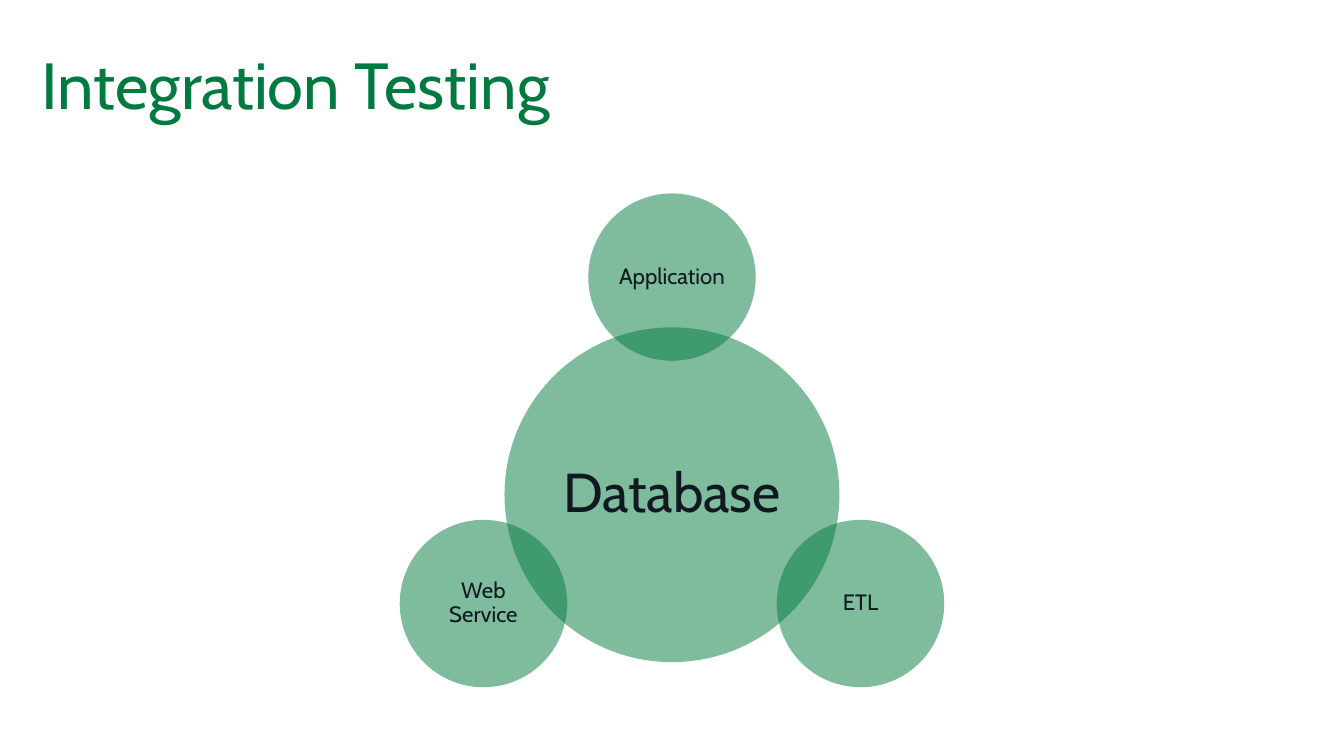
"""Build the Integration Testing slide: a hub circle with three overlapping satellites."""
from math import cos, radians, sin

from lxml import etree
from pptx import Presentation
from pptx.dml.color import RGBColor
from pptx.enum.shapes import MSO_SHAPE
from pptx.enum.text import MSO_ANCHOR, MSO_AUTO_SIZE, PP_ALIGN
from pptx.oxml.ns import qn
from pptx.util import Inches, Pt

TITLE = "Integration Testing"
HUB = "Database"
SATELLITES = ["Application", "ETL", "Web Service"]

GREEN = RGBColor(0x00, 0x7A, 0x3E)
INK = RGBColor(0x10, 0x18, 0x20)
FONT = "Cabin"
OVAL = MSO_SHAPE.OVAL
MIDDLE = MSO_ANCHOR.MIDDLE
LEFT, CENTER = PP_ALIGN.LEFT, PP_ALIGN.CENTER
NO_AUTOFIT = MSO_AUTO_SIZE.NONE

WIDTH, HEIGHT = 12.6, 7.09
MARGIN = 0.39
TITLE_HEIGHT = 0.79
HUB_X, HUB_Y = WIDTH / 2, 4.64
HUB_DIAMETER = 3.14
SATELLITE_DIAMETER = HUB_DIAMETER / 2
ORBIT = HUB_DIAMETER * 0.65
OPACITY = 50


def set_text(holder, text, size, color, align, inset, spacing):
    """Write one formatted paragraph into a shape."""
    frame = holder.text_frame
    frame.text = text
    margins = dict.fromkeys(
        ("margin_left", "margin_top", "margin_right", "margin_bottom"), Inches(inset))
    frame_format = {"word_wrap": True, "auto_size": NO_AUTOFIT,
                    "vertical_anchor": MIDDLE, **margins}
    paragraph = frame.paragraphs[0]
    font = paragraph.runs[0].font
    formats = [
        (frame, frame_format),
        (paragraph, {"alignment": align, "line_spacing": spacing}),
        (font, {"name": FONT, "size": Pt(size)}),
    ]
    for target, values in formats:
        for attribute, value in values.items():
            setattr(target, attribute, value)
    font.color.rgb = color


def add_circle(slide, label, x, y, diameter, size, inset):
    """Add a translucent labelled circle centred on a point."""
    circle = slide.shapes.add_shape(
        OVAL, Inches(x - diameter / 2), Inches(y - diameter / 2),
        Inches(diameter), Inches(diameter))
    circle.shadow.inherit = False
    circle.fill.solid()
    circle.fill.fore_color.rgb = GREEN
    color = circle.fill._xPr.find(qn("a:solidFill"))[0]
    etree.SubElement(color, qn("a:alpha"), val=str(OPACITY * 1000))
    circle.line.fill.background()
    set_text(circle, label, size, INK, CENTER, inset, 0.9)


def main():
    """Lay out the slide and save it."""
    deck = Presentation()
    deck.slide_width, deck.slide_height = Inches(WIDTH), Inches(HEIGHT)
    slide = deck.slides.add_slide(deck.slide_layouts.get_by_name("Title Only"))

    title = slide.shapes.title
    title.left, title.top = Inches(MARGIN), Inches(MARGIN)
    title.width, title.height = Inches(WIDTH - 2 * MARGIN), Inches(TITLE_HEIGHT)
    set_text(title, TITLE, 44, GREEN, LEFT, 0, 1.0)

    add_circle(slide, HUB, HUB_X, HUB_Y, HUB_DIAMETER, 37, 0.05)
    for index, label in enumerate(SATELLITES):
        angle = radians(-90 + index * 360 / len(SATELLITES))
        add_circle(slide, label, HUB_X + ORBIT * cos(angle), HUB_Y + ORBIT * sin(angle),
                   SATELLITE_DIAMETER, 15, 0.02)

    deck.save("out.pptx")


if __name__ == "__main__":
    main()
